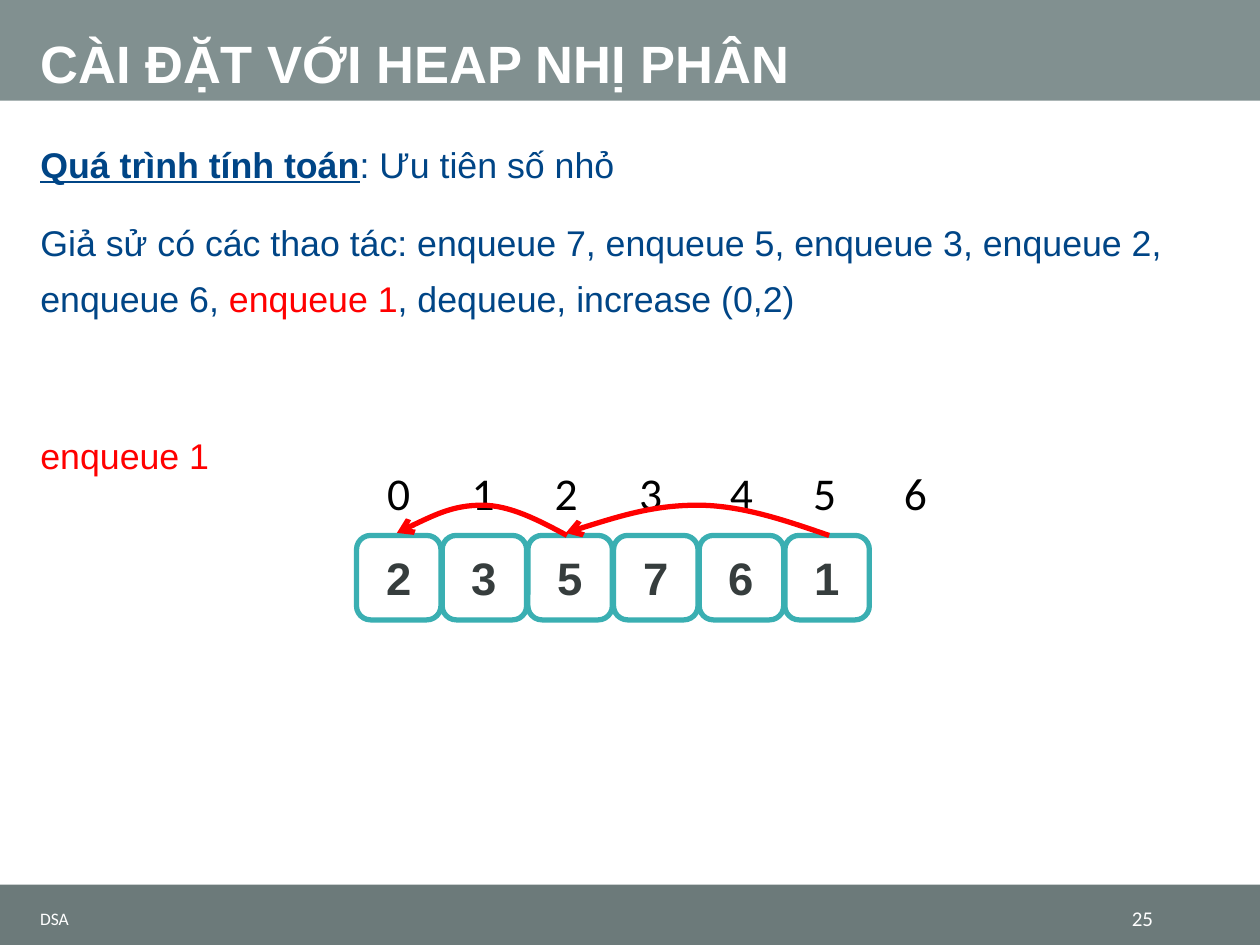
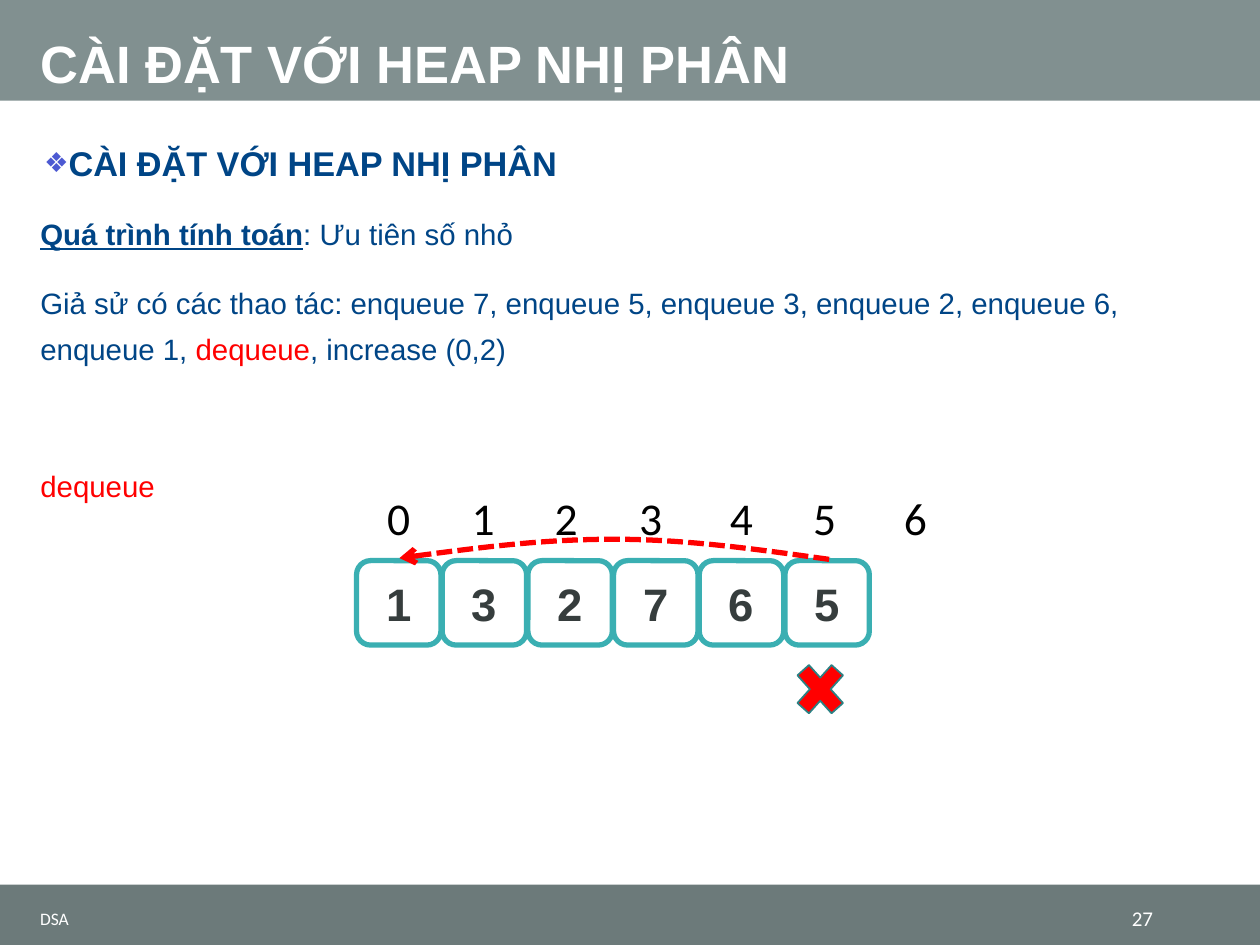
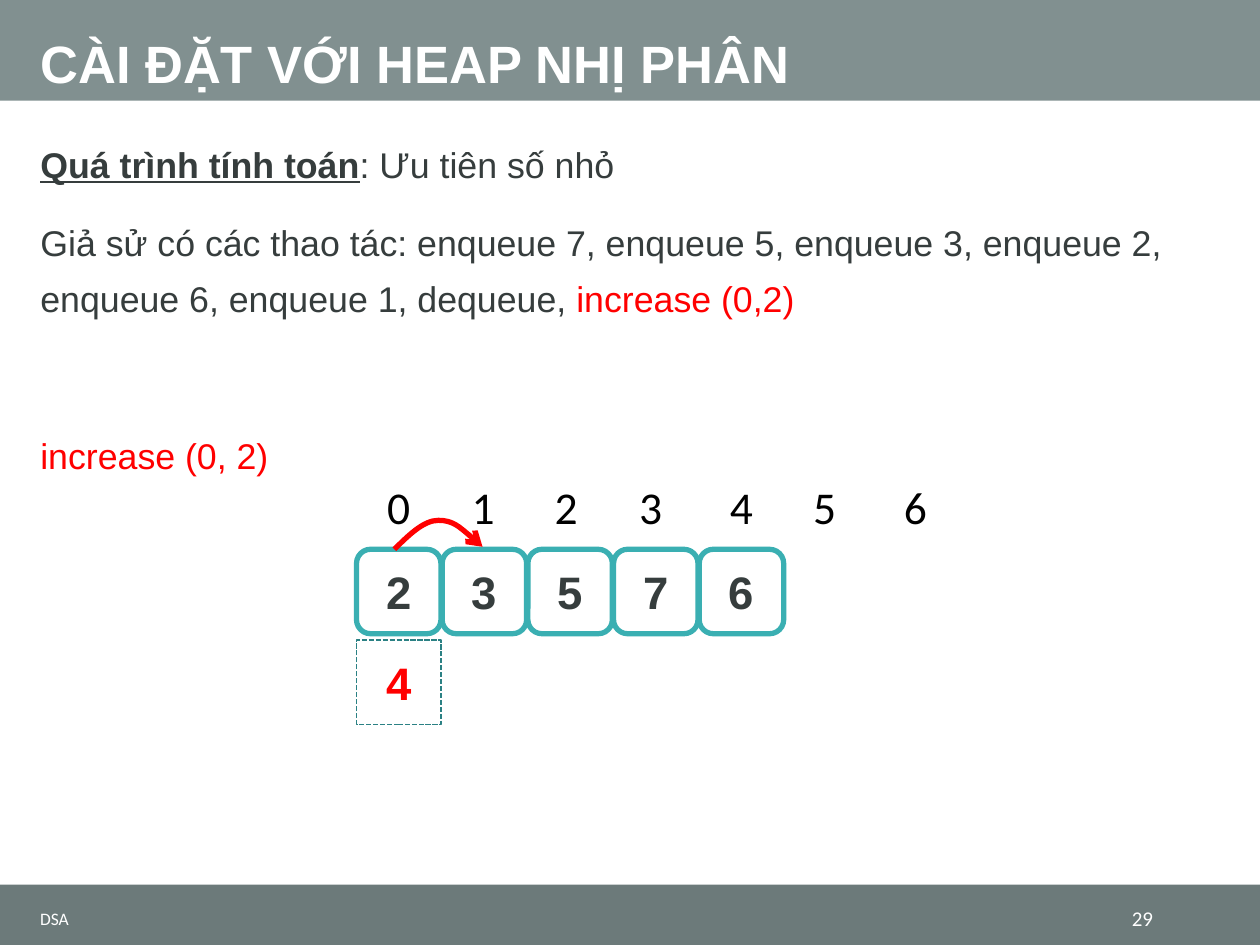
from lxml import etree
from pptx import Presentation
from pptx.dml.color import RGBColor
from pptx.enum.dml import MSO_LINE
from pptx.enum.shapes import MSO_SHAPE
from pptx.enum.text import MSO_ANCHOR, MSO_AUTO_SIZE, PP_ALIGN
from pptx.oxml.ns import qn
from pptx.util import Inches, Pt

RECT, ROUND, CROSS = MSO_SHAPE.RECTANGLE, MSO_SHAPE.ROUNDED_RECTANGLE, MSO_SHAPE.MATH_MULTIPLY
LEFT, CENTER, RIGHT = PP_ALIGN.LEFT, PP_ALIGN.CENTER, PP_ALIGN.RIGHT
TOP, MIDDLE, BOTTOM = MSO_ANCHOR.TOP, MSO_ANCHOR.MIDDLE, MSO_ANCHOR.BOTTOM
DASH = MSO_LINE.SQUARE_DOT

WHITE, BLACK, RED = "FFFFFF", "000000", "FF0000"
BLUE, DARK, VIOLET = "004586", "363D3D", "4C59D2"
TEAL, PINE = "3AAFB2", "2B8184"
HEAD, FOOT = "819090", "6C7A7A"

TITLE = "CÀI ĐẶT VỚI HEAP NHỊ PHÂN"
GOAL = "Quá trình tính toán"
STEPS = ("Giả sử có các thao tác: enqueue 7, enqueue 5, enqueue 3, enqueue 2, "
         "enqueue 6, enqueue 1, dequeue, increase (0,2)")

# Array layout
CELL, PITCH, START = 0.67, 0.68, 2.83
INDEX = [2.83, 3.5, 4.16, 4.83, 5.55, 6.21, 6.93]


def color(code):
    return RGBColor.from_string(code)


def write(par, text, size=20.4, font="Arial", ink=BLACK, bold=False, under=False):
    run = par.add_run()
    run.text = text
    run.font.size = Pt(size)
    run.font.name = font
    run.font.color.rgb = color(ink)
    run.font.bold = bold
    run.font.underline = under


def place(shape, left, top, width, height):
    shape.left, shape.top = Inches(left), Inches(top)
    shape.width, shape.height = Inches(width), Inches(height)


def setup(frame, anchor):
    frame.word_wrap = True
    frame.auto_size = MSO_AUTO_SIZE.NONE
    frame.vertical_anchor = anchor
    return frame.paragraphs[0]


def label(slide, text, box, align=LEFT, anchor=MIDDLE, **form):
    shape = slide.shapes.add_textbox(*map(Inches, box))
    par = setup(shape.text_frame, anchor)
    par.alignment = align
    write(par, text, font="Calibri", **form)


def stroke(shape, ink, width, dash=None):
    shape.line.color.rgb = color(ink)
    shape.line.width = Pt(width)
    if dash:
        shape.line.dash_style = dash


def block(slide, kind, box, fill=None, edge=None, width=1, dash=None):
    shape = slide.shapes.add_shape(kind, *map(Inches, box))
    shape.shadow.inherit = False
    if fill:
        shape.fill.solid()
        shape.fill.fore_color.rgb = color(fill)
    else:
        shape.fill.background()
    if edge:
        stroke(shape, edge, width, dash)
    else:
        shape.line.fill.background()
    return shape


def cell(slide, text, left, top, ink=DARK, kind=ROUND, **look):
    shape = block(slide, kind, (left, top, CELL, CELL), **look)
    par = setup(shape.text_frame, MIDDLE)
    par.alignment = CENTER
    write(par, text, size=26, ink=ink, bold=True)


def arch(slide, start, end, peak, dash=None):
    """Draw two mirrored curves that meet at the peak height."""
    (left, base), (right, tip) = start, end
    step = (right - left) / 6
    rise = [(base + peak) / 2, peak, peak, peak, (tip + peak) / 2, tip]
    dots = [(Inches(left + step * i), Inches(y)) for i, y in enumerate(rise, 1)]
    pen = slide.shapes.build_freeform(Inches(left), Inches(base))
    pen.add_line_segments(dots, close=False)
    shape = pen.convert_to_shape()
    shape.shadow.inherit = False
    shape.fill.background()
    stroke(shape, RED, 3, dash)
    # Each three points become one cubic curve
    lines = list(shape._element.iter(qn("a:lnTo")))
    for first in (0, 3):
        curve = lines[first]
        curve.tag = qn("a:cubicBezTo")
        for line in lines[first + 1:first + 3]:
            curve.append(line[0])
            line.getparent().remove(line)
    tail = etree.SubElement(shape.line._get_or_add_ln(), qn("a:tailEnd"))
    tail.set("type", "arrow")


def bullet(par, sign=None):
    props = par._p.get_or_add_pPr()
    props.set("marL", str(Inches(0.17 if sign else 0)))
    props.set("indent", str(Inches(-0.14 if sign else 0)))
    if sign:
        tint = etree.SubElement(props, qn("a:buClr"))
        etree.SubElement(tint, qn("a:srgbClr")).set("val", VIOLET)
        etree.SubElement(props, qn("a:buSzPct")).set("val", "80000")
        etree.SubElement(props, qn("a:buChar")).set("char", sign)
    else:
        etree.SubElement(props, qn("a:buNone"))


def item(par, runs, sign=None, before=7):
    par.line_spacing = 1.3
    par.space_before, par.space_after = Pt(before), Pt(6)
    bullet(par, sign)
    for text, form in runs:
        write(par, text, **form)


def fill_body(frame, mark, call, ink, size, head):
    par = setup(frame, TOP)
    if head:
        item(par, [(TITLE, dict(size=19.6, ink=ink, bold=True))], sign="❖")
        par = frame.add_paragraph()
    plain, hot = dict(size=size, ink=ink), dict(size=size, ink=RED)
    item(par, [(GOAL, dict(plain, bold=True, under=True)),
               (": Ưu tiên số nhỏ", plain)])
    pre, now, post = STEPS.partition(mark)
    runs = [(pre, plain), (now, hot), (post, plain)]
    item(frame.add_paragraph(), [run for run in runs if run[0]])
    # The call stands one empty line lower
    item(frame.add_paragraph(), [(call, hot)], before=20 + 1.55 * size)


def add_page(deck, number, height, mark, call, ink=BLUE, size=20.4, head=False):
    slide = deck.slides.add_slide(deck.slide_layouts[1])
    title, body = slide.placeholders
    place(title, 0.22, 0, 9.57, 0.8)
    par = setup(title.text_frame, BOTTOM)
    par.alignment, par.line_spacing = LEFT, 0.9
    write(par, TITLE, size=30, ink=WHITE, bold=True)
    place(body, 0.22, 0.98, 9.57, height)
    fill_body(body.text_frame, mark, call, ink, size, head)
    # Footer
    label(slide, "DSA", (0.22, 7.16, 6.95, 0.26), size=10, ink=WHITE)
    label(slide, str(number), (8.47, 7.16, 0.78, 0.26), align=RIGHT, size=12, ink=WHITE)
    return slide


def array(slide, values, top):
    for i, left in enumerate(INDEX):
        label(slide, str(i), (left, top - 0.61, CELL, 0.54),
              align=CENTER, anchor=TOP, size=26)
    for i, value in enumerate(values):
        cell(slide, value, START + i * PITCH, top, fill=WHITE, edge=TEAL, width=3)


def share_bands(slide):
    """Move the header and footer bands to the shared layout."""
    tree = slide.slide_layout.shapes._spTree
    for top, height, fill in ((0, 0.8, HEAD), (7.02, 0.48, FOOT)):
        band = block(slide, RECT, (0, top, 10, height), fill=fill)
        tree.insert(2, band._element)


def main():
    deck = Presentation()
    deck.slide_width, deck.slide_height = Inches(10), Inches(7.5)

    # Enqueue: the new value climbs twice
    slide = add_page(deck, 25, 2.96, "enqueue 1", "enqueue 1")
    share_bands(slide)
    array(slide, "235761", 4.25)
    arch(slide, (6.58, 4.25), (4.49, 4.23), 4.01)
    arch(slide, (4.5, 4.25), (3.15, 4.23), 4.01)

    # Dequeue: the last value replaces the root
    slide = add_page(deck, 27, 3.36, "dequeue", "dequeue", size=16.8, head=True)
    array(slide, "132765", 4.45)
    arch(slide, (6.58, 4.44), (3.17, 4.43), 4.28, DASH)
    block(slide, CROSS, (6.25, 5.18, 0.52, 0.58), fill=RED, edge=PINE)

    # Increase: the root sinks
    slide = add_page(deck, 29, 3.02, "increase (0,2)", "increase (0, 2)", ink=DARK)
    array(slide, "23576", 4.36)
    arch(slide, (3.13, 4.36), (3.83, 4.34), 4.13)
    cell(slide, "4", START, 5.08, ink=RED, kind=RECT, edge=PINE, dash=DASH)

    deck.save("out.pptx")


if __name__ == "__main__":
    main()
